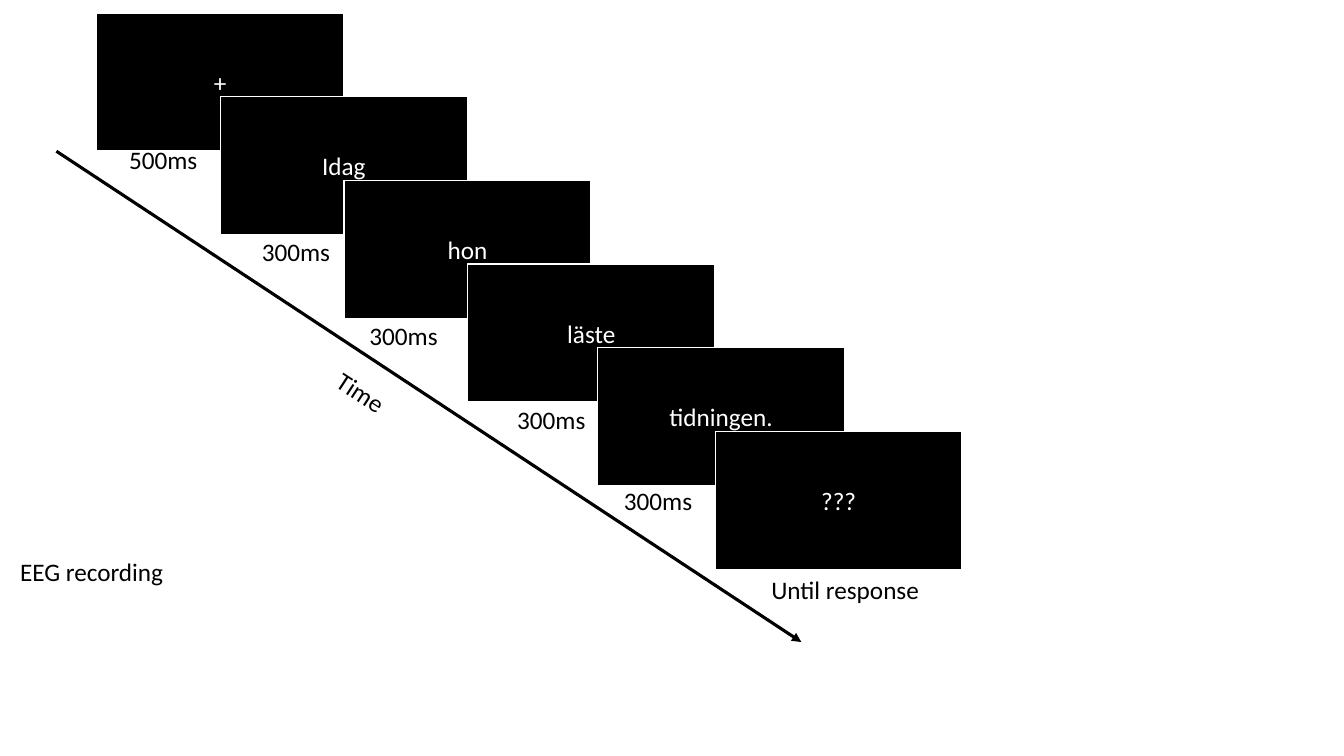
import pptx
import pptx.util
import pptx.dml.color
import pptx.enum.shapes
import pptx.enum.text
import pptx.oxml.ns
import lxml.etree

Pt = pptx.util.Pt
BLACK = pptx.dml.color.RGBColor(0x00, 0x00, 0x00)
WHITE = pptx.dml.color.RGBColor(0xFF, 0xFF, 0xFF)
CENTER = pptx.enum.text.PP_ALIGN.CENTER
LEFT = pptx.enum.text.PP_ALIGN.LEFT

SCREEN_WIDTH, SCREEN_HEIGHT = 176.4, 98.6
STEP_X, STEP_Y = 88.35, 59.76
LABEL_HEIGHT = 25.2

# word, sideways nudge of the screen, duration, label width,
# label offset from the screen's lower left corner
TRIAL = [
    ("+", 0, "500ms", 80.6, 7.2, -8.6),
    ("Idag", 0, "300ms", 80.6, 13.7, -2.2),
    ("hon", 0, "300ms", 80.6, 2.2, -2.2),
    ("läste", 0, "300ms", 80.6, 19.4, -2.2),
    ("tidningen.", 4.4, "300ms", 80.6, 2.9, -3.6),
    ("???", 0, "Until response", 168.5, 8.6, 0),
]


def write(frame, text, color, alignment):
    frame.word_wrap = True
    paragraph = frame.paragraphs[0]
    paragraph.text = text
    paragraph.alignment = alignment
    paragraph.font.name = "Calibri"
    paragraph.font.size = Pt(18)
    paragraph.font.color.rgb = color


def add_label(slide, text, left, top, width, alignment=CENTER, rotation=0):
    label = slide.shapes.add_textbox(Pt(left), Pt(top), Pt(width), Pt(LABEL_HEIGHT))
    label.rotation = rotation
    write(label.text_frame, text, BLACK, alignment)


def add_screen(slide, word, left, top):
    screen = slide.shapes.add_shape(
        pptx.enum.shapes.MSO_SHAPE.RECTANGLE,
        Pt(left), Pt(top), Pt(SCREEN_WIDTH), Pt(SCREEN_HEIGHT))
    screen.shadow.inherit = False
    screen.fill.solid()
    screen.fill.fore_color.rgb = BLACK
    screen.line.color.rgb = WHITE
    screen.line.width = Pt(1)
    screen.text_frame.vertical_anchor = pptx.enum.text.MSO_ANCHOR.MIDDLE
    write(screen.text_frame, word, WHITE, CENTER)


def add_time_axis(slide, left, top, width, height):
    axis = slide.shapes.add_connector(
        pptx.enum.shapes.MSO_CONNECTOR.STRAIGHT,
        Pt(left), Pt(top), Pt(left + width), Pt(top + height))
    axis.line.color.rgb = BLACK
    axis.line.width = Pt(2.25)
    qn = pptx.oxml.ns.qn
    outline = axis.line._get_or_add_ln()
    lxml.etree.SubElement(outline, qn("a:tailEnd"), type="triangle")
    lxml.etree.SubElement(axis._element.spPr, qn("a:effectLst"))
    add_label(slide, "Time", left + 178.6, top + 158, 80, rotation=33.2)


def add_trial(slide, left, top):
    corners = [(left + i * STEP_X + step[1], top + i * STEP_Y)
               for i, step in enumerate(TRIAL)]
    # Screens, each overlapping the one before
    for (x, y), step in zip(corners, TRIAL):
        add_screen(slide, step[0], x, y)
    # Durations under the screens
    for (x, y), (_, _, duration, width, dx, dy) in zip(corners, TRIAL):
        add_label(slide, duration, x + dx, y + SCREEN_HEIGHT + dy, width)


def main():
    deck = pptx.Presentation()
    deck.slide_width, deck.slide_height = Pt(960), Pt(540)
    slide = deck.slides.add_slide(deck.slide_layouts[6])

    add_time_axis(slide, 40.3, 108, 532.1, 350.6)
    add_trial(slide, 69.1, 9.4)
    # Recording method
    add_label(slide, "EEG recording", 7.2, 393.8, 138.2, LEFT)

    deck.save("out.pptx")


if __name__ == "__main__":
    main()
